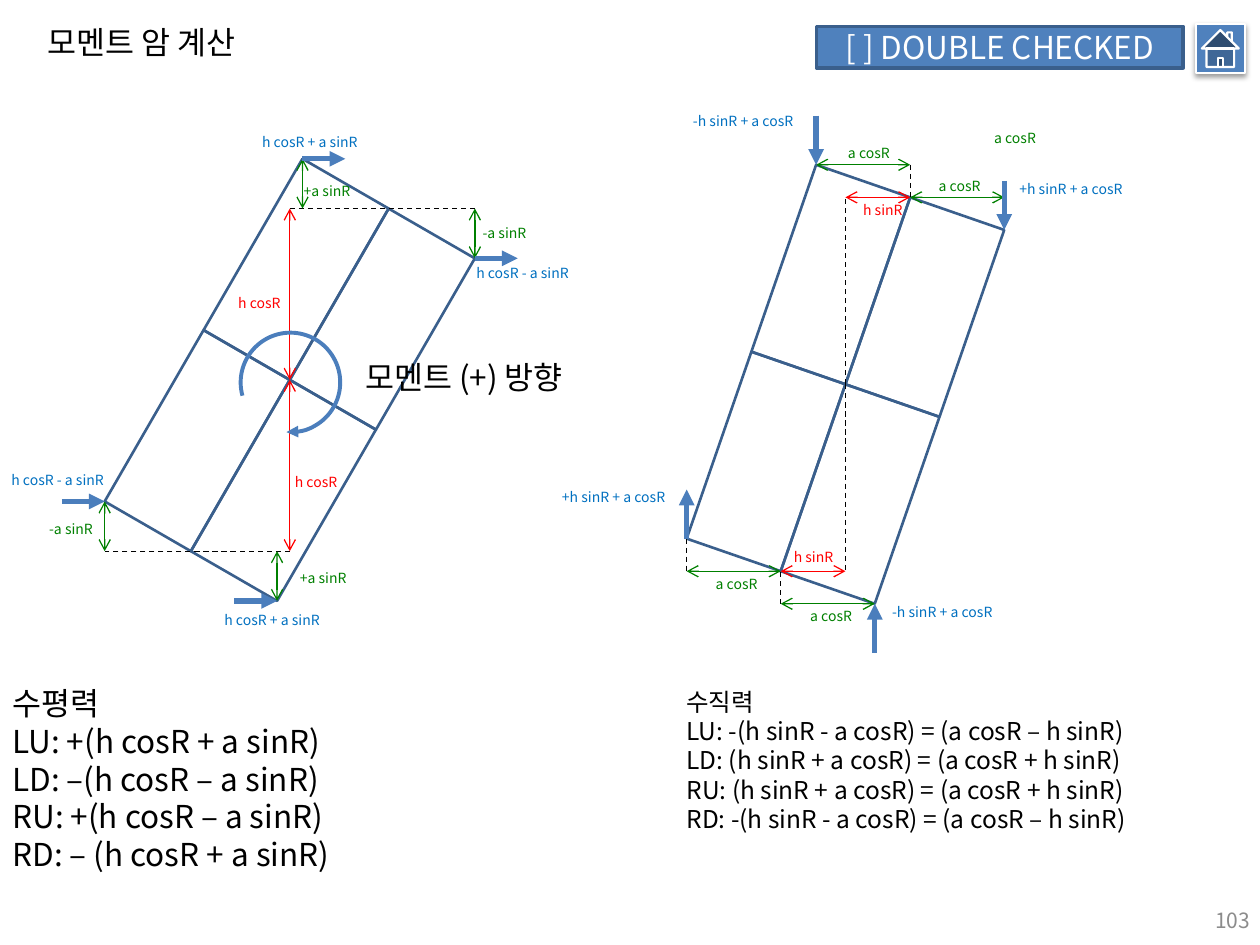
from dataclasses import dataclass
from math import cos, radians, sin

from lxml.etree import SubElement
from pptx import Presentation
from pptx.dml.color import RGBColor
from pptx.enum.dml import MSO_LINE
from pptx.enum.shapes import MSO_CONNECTOR, MSO_SHAPE
from pptx.enum.text import MSO_ANCHOR, MSO_AUTO_SIZE, PP_ALIGN
from pptx.oxml.ns import qn
from pptx.util import Inches, Pt


@dataclass(frozen=True)
class Theme:
    """Colours, type sizes and line widths of the slide."""
    font: str = "Noto Sans CJK KR"
    black: str = "000000"
    white: str = "FFFFFF"
    grey: str = "8C8C8C"
    fill: str = "4F81BD"
    outline: str = "3A5F8C"
    force: str = "4B7EBC"
    height: str = "FF0000"
    width: str = "008000"
    total: str = "0070C0"
    heading: int = 18
    formula: int = 14
    number: int = 12
    label: int = 8
    thin: float = 0.75


@dataclass(frozen=True)
class Box:
    """A region in inches."""
    left: float
    top: float
    width: float
    height: float

    def inside(self, left, top, width, height):
        """Return a box placed relative to this one."""
        return Box(self.left + left, self.top + top, width, height)

    def lengths(self):
        """Return the four lengths that python-pptx expects."""
        return [Inches(value) for value in (self.left, self.top, self.width, self.height)]


THEME = Theme()
LABELS = {
    "h sinR": (0.4, THEME.height),
    "h cosR": (0.42, THEME.height),
    "a cosR": (0.43, THEME.width),
    "+a sinR": (0.47, THEME.width),
    "-a sinR": (0.43, THEME.width),
    "h cosR + a sinR": (0.89, THEME.total),
    "h cosR - a sinR": (0.86, THEME.total),
    "+h sinR + a cosR": (0.97, THEME.total),
    "-h sinR + a cosR": (0.94, THEME.total),
}
CELL_WIDTH, CELL_HEIGHT = 0.79, 1.57


def set_values(target, values):
    """Set attributes from a dict of format values."""
    for name, value in values.items():
        setattr(target, name, value)


def write(shape, lines, size, color, align=PP_ALIGN.LEFT, **frame_format):
    """Write one paragraph for each line of text."""
    frame = shape.text_frame
    set_values(frame, frame_format)
    for index, line in enumerate(lines):
        paragraph = frame.paragraphs[0] if index == 0 else frame.add_paragraph()
        paragraph.alignment = align
        run = paragraph.add_run()
        set_values(run, {"text": line})
        set_values(run.font, {"size": Pt(size), "name": THEME.font})
        run.font.color.rgb = RGBColor.from_string(color)
        SubElement(run.font._element, qn("a:ea"), typeface=THEME.font)


def add_text(slide, box, lines, size=THEME.heading, color=THEME.black, **frame_format):
    """Add an unwrapped text box that fits its text."""
    values = {"word_wrap": False, "auto_size": MSO_AUTO_SIZE.SHAPE_TO_FIT_TEXT}
    write(slide.shapes.add_textbox(*box.lengths()), lines, size, color,
          **{**values, **frame_format})


def add_labels(slide, box, places):
    """Add the small labels at places relative to the diagram box."""
    for text, left, top in places:
        width, color = LABELS[text]
        add_text(slide, box.inside(left, top, width, 0.13), [text], THEME.label, color,
                 margin_left=Inches(0.04), margin_right=Inches(0.04),
                 margin_top=0, margin_bottom=0)


def add_shape(slide, kind, box, line, line_width, fill=None, rotation=0):
    """Add a preset shape without shadow."""
    shape = slide.shapes.add_shape(kind, *box.lengths())
    shape.shadow.inherit = False
    shape.rotation = rotation
    if fill:
        shape.fill.solid()
        shape.fill.fore_color.rgb = RGBColor.from_string(fill)
    else:
        shape.fill.background()
    shape.line.color.rgb = RGBColor.from_string(line)
    shape.line.width = Pt(line_width)
    return shape


def add_arrowhead(line, end, kind):
    """Put an arrowhead on one end of a line."""
    SubElement(line._get_or_add_ln(), qn(f"a:{end}"), type=kind)


def add_line(slide, start, end, color, width=THEME.thin, dashed=False, heads=(), kind="arrow"):
    """Add a straight line with optional dashes and arrowheads."""
    points = [Inches(value) for value in (*start, *end)]
    connector = slide.shapes.add_connector(MSO_CONNECTOR.STRAIGHT, *points)
    connector.line.color.rgb = RGBColor.from_string(color)
    connector.line.width = Pt(width)
    if dashed:
        connector.line.dash_style = MSO_LINE.DASH
    for head in heads:
        add_arrowhead(connector.line, head, kind)
    SubElement(connector._element.spPr, qn("a:effectLst"))


def add_block(slide, box, angle):
    """Draw four tilted cells; return the centre and the arm components."""
    x, y = box.left + box.width / 2, box.top + box.height / 2
    cosine, sine = cos(radians(angle)), sin(radians(angle))
    for across in (0.5, -0.5):
        for down in (-0.5, 0.5):
            a, h = across * CELL_WIDTH, down * CELL_HEIGHT
            left = x + a * cosine - h * sine - CELL_WIDTH / 2
            top = y + a * sine + h * cosine - CELL_HEIGHT / 2
            add_shape(slide, MSO_SHAPE.RECTANGLE, Box(left, top, CELL_WIDTH, CELL_HEIGHT),
                      THEME.outline, 1.5, rotation=angle)
    return (x, y, CELL_WIDTH * cosine, CELL_WIDTH * sine,
            CELL_HEIGHT * cosine, CELL_HEIGHT * sine)


def add_dimensions(slide, center, sign, segments):
    """Draw dimension and guide lines, mirrored through the centre by sign."""
    for color, *ends in segments:
        start, end = [(center[0] + sign * x, center[1] + sign * y) for x, y in ends]
        dashed = color == THEME.black
        add_line(slide, start, end, color, dashed=dashed,
                 heads=() if dashed else ("headEnd", "tailEnd"))


def add_force(slide, x, y, across, down):
    """Draw a force arrow from a point along a direction."""
    add_line(slide, (x, y), (x + across, y + down), THEME.force, 3,
             heads=("tailEnd",), kind="triangle")


def add_horizontal_diagram(slide, box):
    """Draw the moment arms of the horizontal forces."""
    x, y, ac, a_s, hc, hs = add_block(slide, box, 30)
    reach = 0.34
    for sign in (1, -1):
        add_dimensions(slide, (x, y), sign, [
            (THEME.black, (0, -hc), (hs + ac, -hc)),
            (THEME.height, (0, -hc), (0, 0)),
            (THEME.width, (hs - ac, -hc), (hs - ac, -hc - a_s)),
            (THEME.width, (hs + ac, -hc), (hs + ac, -hc + a_s)),
        ])
        for side in (1, -1):
            start = x + sign * (hs + side * ac) - (reach if sign < 0 else 0)
            add_force(slide, start, y + sign * (side * a_s - hc), reach, 0)
    add_labels(slide, box, [
        ("h cosR", 1.47, 2.5), ("+a sinR", 1.51, 3.26), ("h cosR + a sinR", 0.91, 3.59),
        ("-a sinR", -0.48, 2.87), ("h cosR - a sinR", 2.91, 0.84), ("h cosR", 1.02, 1.08),
        ("-a sinR", 2.96, 0.52), ("+a sinR", 1.54, 0.19), ("h cosR + a sinR", 1.21, -0.2),
        ("h cosR - a sinR", -0.78, 2.48),
    ])
    arc = add_shape(slide, MSO_SHAPE.ARC, box.inside(1.08, 1.38, 0.79, 0.79), THEME.force, 2.25)
    arc.adjustments[0], arc.adjustments[1] = 98.755, 56.734
    add_arrowhead(arc.line, "tailEnd", "triangle")
    add_text(slide, box.inside(1.97, 1.53, 1.97, 0.4), ["모멘트 (+) 방향"])


def add_vertical_diagram(slide, box):
    """Draw the moment arms of the vertical forces."""
    x, y, ac, a_s, hc, hs = add_block(slide, box, 19.1)
    reach = 0.39
    for sign in (1, -1):
        add_dimensions(slide, (x, y), sign, [
            (THEME.black, (0, 0), (0, -hc)),
            (THEME.black, (hs, -hc - a_s), (hs, -hc)),
            (THEME.height, (0, -hc), (hs, -hc)),
            (THEME.width, (hs, -hc), (hs + ac, -hc)),
            (THEME.width, (hs - ac, -hc - a_s), (hs, -hc - a_s)),
        ])
        for side in (1, -1):
            start = y + sign * (side * a_s - hc)
            start += -reach if sign > 0 else reach if side < 0 else 0
            add_force(slide, x + sign * (hs + side * ac), start, 0, sign * reach)
    add_dimensions(slide, (x, y), -1, [(THEME.black, (hs + ac, a_s - hc), (hs + ac, -hc))])
    add_labels(slide, box, [
        ("h sinR", 0.81, 3.05), ("a cosR", 0.94, 3.52), ("-h sinR + a cosR", 1.59, 3.49),
        ("a cosR", 0.19, 3.27), ("h sinR", 1.36, 0.3), ("a cosR", 1.24, -0.15),
        ("a cosR", 2.4, -0.27), ("+h sinR + a cosR", 2.6, 0.13),
        ("+h sinR + a cosR", -1.03, 2.58), ("-h sinR + a cosR", 0.01, -0.41),
        ("a cosR", 1.96, 0.11),
    ])


def add_header(slide, box):
    """Add the title, the check banner and the home button."""
    add_text(slide, box.inside(0.28, 0.13, 1.9, 0.4), ["모멘트 암 계산"])
    banner = add_shape(slide, MSO_SHAPE.RECTANGLE, box.inside(6.48, 0.21, 2.91, 0.33),
                       THEME.outline, 2, THEME.fill)
    write(banner, ["[ ] DOUBLE CHECKED"], THEME.heading, THEME.white, PP_ALIGN.CENTER,
          vertical_anchor=MSO_ANCHOR.MIDDLE)
    home = add_shape(slide, MSO_SHAPE.ACTION_BUTTON_HOME, box.inside(9.49, 0.19, 0.39, 0.39),
                     THEME.white, 1.25, THEME.fill)
    shadow = SubElement(home._element.spPr.find(qn("a:effectLst")), qn("a:outerShdw"),
                        blurRad=str(Pt(3.1)), dist=str(Pt(1.6)), dir="5400000", rotWithShape="0")
    color = SubElement(shadow, qn("a:srgbClr"), val=THEME.black)
    SubElement(color, qn("a:alpha"), val="38000")


def add_page_number(slide, box):
    """Add the page number at the right of its box."""
    write(slide.shapes.add_textbox(*box.lengths()), ["103"], THEME.number, THEME.grey,
          PP_ALIGN.RIGHT, word_wrap=True, vertical_anchor=MSO_ANCHOR.MIDDLE)


def main():
    """Build the slide and save it."""
    presentation = Presentation()
    set_values(presentation, {"slide_width": Inches(10), "slide_height": Inches(7.5)})
    slide = presentation.slides.add_slide(presentation.slide_layouts[6])
    add_header(slide, Box(0, 0, 10, 0.75))
    add_horizontal_diagram(slide, Box(0.83, 1.26, 2.94, 3.51))
    add_vertical_diagram(slide, Box(5.45, 1.3, 2.52, 3.5))
    add_text(slide, Box(0, 5.38, 2.87, 1.62), [
        "수평력", "LU: +(h cosR + a sinR)", "LD: –(h cosR – a sinR)",
        "RU: +(h cosR – a sinR)", "RD: – (h cosR + a sinR)"])
    add_text(slide, Box(5.35, 5.4, 3.9, 1.28), [
        "수직력", "LU: -(h sinR - a cosR) = (a cosR – h sinR)",
        "LD: (h sinR + a cosR) = (a cosR + h sinR)",
        "RU: (h sinR + a cosR) = (a cosR + h sinR)",
        "RD: -(h sinR - a cosR) = (a cosR – h sinR)"], THEME.formula)
    add_page_number(slide, Box(7.69, 7.1, 2.33, 0.4))
    presentation.save("out.pptx")


if __name__ == "__main__":
    main()
